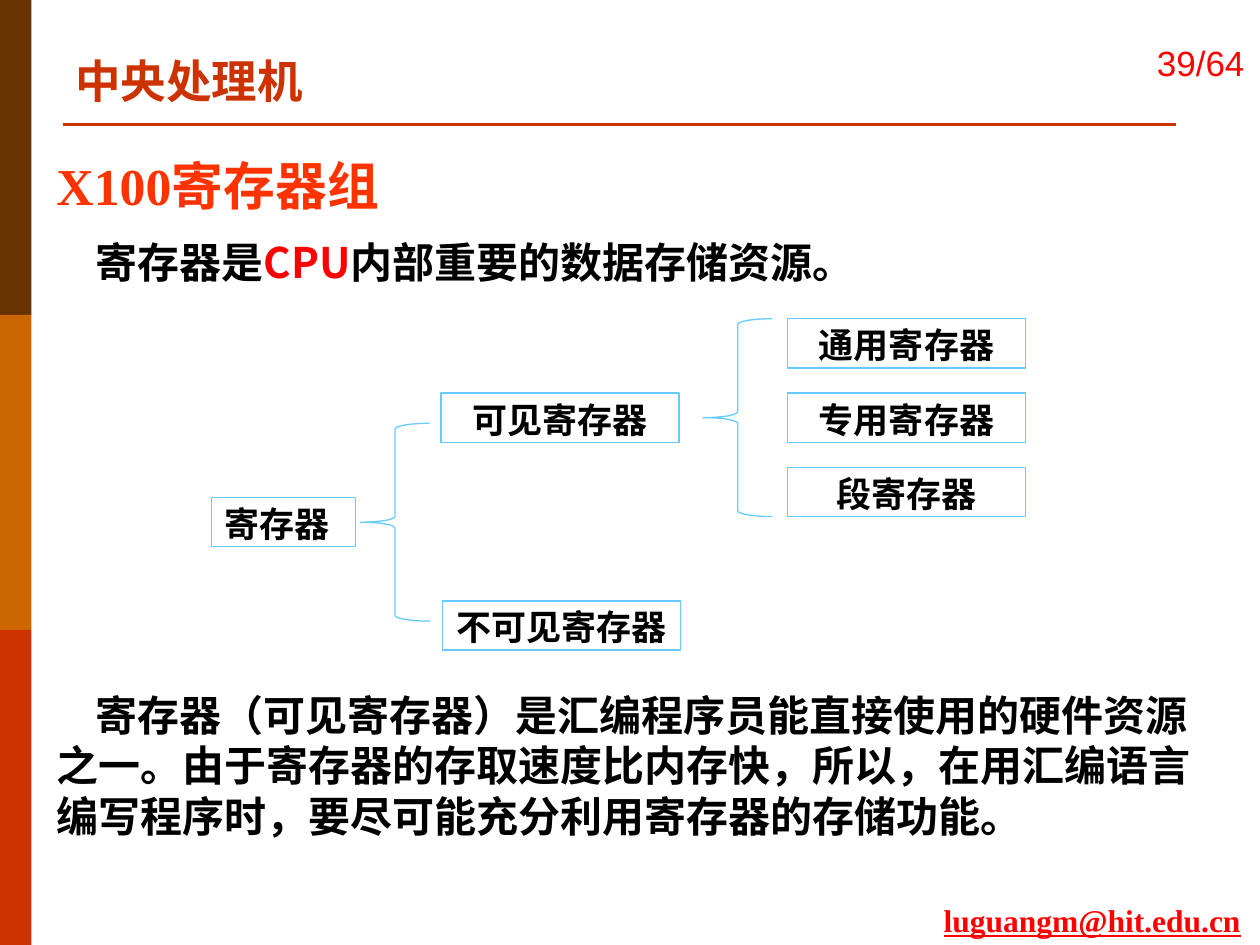
from lxml import etree
from pptx import Presentation
from pptx.dml.color import RGBColor
from pptx.enum.shapes import MSO_CONNECTOR, MSO_SHAPE
from pptx.enum.text import MSO_ANCHOR, PP_ALIGN
from pptx.oxml.ns import qn
from pptx.util import Inches, Pt

SERIF, SANS, CHINESE = "Times New Roman", "Arial", "Noto Sans CJK SC"
BLACK, RED, RUST, ORANGE, SKY, WHITE = (
    "000000", "FF0000", "CC3300", "FF3300", "66CCFF", "FFFFFF")
BODY_SIZE = 24


def color(value):
    return RGBColor.from_string(value)


def add_run(para, text, size, font, ink, bold=True, underline=None):
    span = para.add_run()
    span.text = text
    span.font.size = Pt(size)
    span.font.name = font
    span.font.bold = bold
    span.font.underline = underline
    span.font.color.rgb = color(ink)
    east_asian = etree.SubElement(span.font._element, qn("a:ea"))
    east_asian.set("typeface", CHINESE)


def add_text_box(page, left, top, width, height, wrap=True):
    box = page.shapes.add_textbox(
        Inches(left), Inches(top), Inches(width), Inches(height))
    box.text_frame.word_wrap = wrap
    return box.text_frame


def add_shape(page, kind, left, top, width, height, fill, line=None):
    shape = page.shapes.add_shape(
        kind, Inches(left), Inches(top), Inches(width), Inches(height))
    shape.shadow.inherit = False
    shape.fill.solid()
    shape.fill.fore_color.rgb = color(fill)
    if line:
        shape.line.color.rgb = color(line)
        shape.line.width = Pt(0.75)
    else:
        shape.line.fill.background()
    return shape


def add_side_band(page, left, top, width, height):
    fills = ("663300", "CC6600", RUST)
    step = height / len(fills)
    for index, fill in enumerate(fills):
        add_shape(page, MSO_SHAPE.RECTANGLE,
                  left, top + index * step, width, step, fill)


def add_header(page, left, top, width, height):
    """Title above a rule that runs along the bottom of the region."""
    frame = add_text_box(page, left, top, 5.81, 0.54)
    para = frame.paragraphs[0]
    para.line_spacing = Pt(33.3)
    add_run(para, "中央处理机", 26, SERIF, RUST)

    bottom = Inches(top + height)
    rule = page.shapes.add_connector(
        MSO_CONNECTOR.STRAIGHT, Inches(left), bottom,
        Inches(left + width), bottom)
    rule.line.color.rgb = color(RUST)
    rule.line.width = Pt(1.5)
    etree.SubElement(rule._element.spPr, qn("a:effectLst"))


def add_page_number(page, left, top, width, height):
    frame = add_text_box(page, left, top, width, height)
    frame.vertical_anchor = MSO_ANCHOR.MIDDLE
    para = frame.paragraphs[0]
    para.alignment = PP_ALIGN.CENTER
    add_run(para, "39/64", 20, SANS, RED, bold=False)


def add_contact(page, left, top, width, height):
    frame = add_text_box(page, left, top, width, height, wrap=False)
    add_run(frame.paragraphs[0], "luguangm@hit.edu.cn", 18, SERIF, RED,
            underline=True)


def fill_body(para, parts):
    """Write (text, colour) parts as an indented body paragraph."""
    para.line_spacing = Pt(28.9)
    para._p.get_or_add_pPr().set("indent", str(Inches(0.31)))
    for text, ink in parts:
        add_run(para, text, BODY_SIZE, CHINESE, ink)


def add_introduction(page, left, top, width, height):
    frame = add_text_box(page, left, top, width, height)
    heading = frame.paragraphs[0]
    heading.line_spacing = Pt(37.7)
    add_run(heading, "X100寄存器组", 29.6, SERIF, ORANGE)
    para = frame.add_paragraph()
    para.space_before = Pt(12)
    fill_body(para, [("寄存器是", BLACK), ("CPU", RED),
                     ("内部重要的数据存储资源。", BLACK)])


def add_explanation(page, left, top, width, height):
    frame = add_text_box(page, left, top, width, height)
    fill_body(frame.paragraphs[0], [(
        "寄存器（可见寄存器）是汇编程序员能直接使用的硬件资源之一。"
        "由于寄存器的存取速度比内存快，所以，在用汇编语言编写程序时，"
        "要尽可能充分利用寄存器的存储功能。", BLACK)])


def add_register_tree(page, left, top):
    row_height, leaf_width, row_step = 0.39, 1.89, 0.59
    center, left_align = PP_ALIGN.CENTER, PP_ALIGN.LEFT
    nodes = [
        ("寄存器", 0, 1.42, 1.14, left_align),
        ("可见寄存器", 1.82, row_step, leaf_width, center),
        ("不可见寄存器", 1.83, 2.24, leaf_width, center),
    ]
    for row, name in enumerate(("通用寄存器", "专用寄存器", "段寄存器")):
        nodes.append((name, 4.57, row * row_step, leaf_width, center))

    for name, x, y, width, alignment in nodes:
        node = add_shape(page, MSO_SHAPE.RECTANGLE, left + x, top + y,
                         width, row_height, WHITE, SKY)
        frame = node.text_frame
        frame.margin_top = Inches(0.07)
        frame.vertical_anchor = MSO_ANCHOR.MIDDLE
        para = frame.paragraphs[0]
        para.alignment = alignment
        add_run(para, name, 20, SERIF, BLACK)

    for x, y in ((3.9, 0), (1.18, 0.83)):
        add_shape(page, MSO_SHAPE.LEFT_BRACE, left + x, top + y,
                  0.55, 1.57, WHITE, SKY)


def main():
    deck = Presentation()
    deck.slide_width, deck.slide_height = Inches(10), Inches(7.5)
    page = deck.slides.add_slide(deck.slide_layouts[6])
    add_side_band(page, 0, 0, 0.25, 7.5)
    add_header(page, 0.5, 0.34, 8.83, 0.65)
    add_page_number(page, 9.06, 0.01, 0.94, 0.98)
    add_introduction(page, 0.35, 1.14, 9.44, 1.2)
    add_register_tree(page, 1.68, 2.53)
    add_explanation(page, 0.35, 5.42, 9.44, 1.3)
    add_contact(page, 7.39, 7.1, 2.61, 0.4)
    deck.save("out.pptx")


if __name__ == "__main__":
    main()
